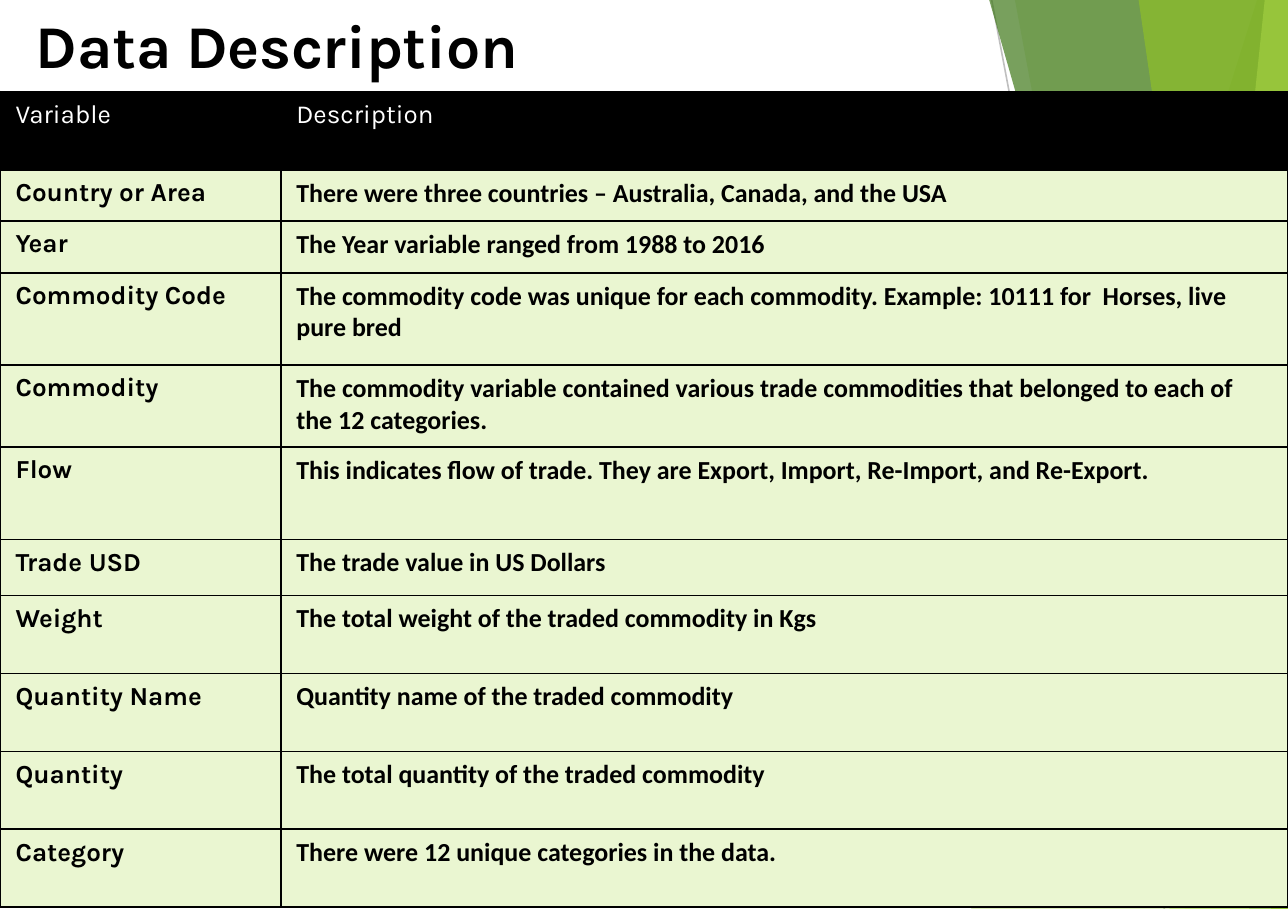
import dataclasses

import pptx
import pptx.dml.color
import pptx.enum.shapes
import pptx.oxml.ns
import pptx.util
from lxml import etree

HUES = {
    "black": "000000", "white": "FFFFFF", "pale": "EAF6D1", "grey": "BFBFBF",
    "lime": "90C226", "forest": "3F7819", "mint": "C0E474",
}
WIDE, HIGH = pptx.util.Inches(8.26), pptx.util.Inches(5.83)


@dataclasses.dataclass
class Blade:
    """Panel reaching the right edge; top and foot are % of the width."""
    top: float
    foot: float
    hue: str
    alpha: int


@dataclasses.dataclass
class Row:
    """Table row; size is % of the slide height."""
    size: float
    name: str
    note: str


BLADES = [
    Blade(97.6, 75.4, "lime", 30),
    Blade(78.8, 92, "lime", 20),
    Blade(76.8, 97, "forest", 70),
    Blade(98.2, 90.8, "mint", 70),
    Blade(88.4, 98.7, "lime", 65),
]
ROWS = [
    Row(8.58, "Variable", "Description"),
    Row(5.66, "Country or Area",
        "There were three countries – Australia, Canada, and the USA"),
    Row(5.66, "Year", "The Year variable ranged from 1988 to 2016"),
    Row(10.15, "Commodity Code", "The commodity code was unique for each "
        "commodity. Example: 10111 for  Horses, live pure bred"),
    Row(9.05, "Commodity", "The commodity variable contained various trade "
        "commodities that belonged to each of the 12 categories."),
    Row(10.15, "Flow", "This indicates flow of trade. They are Export, "
        "Import, Re-Import, and Re-Export."),
    Row(6.17, "Trade USD", "The trade value in US Dollars"),
    Row(8.58, "Weight", "The total weight of the traded commodity in Kgs"),
    Row(8.58, "Quantity Name", "Quantity name of the traded commodity"),
    Row(8.58, "Quantity", "The total quantity of the traded commodity"),
    Row(8.58, "Category", "There were 12 unique categories in the data."),
]
COLS = [21.8, 78.2]
HEAD = 10.1


def across(share: float) -> int:
    return round(WIDE * share / 100)


def down(share: float) -> int:
    return round(HIGH * share / 100)


def color(hue: str) -> pptx.dml.color.RGBColor:
    return pptx.dml.color.RGBColor.from_string(HUES[hue])


def add(parent, tag: str, **attrs: str):
    return etree.SubElement(parent, pptx.oxml.ns.qn(tag), attrs)


def paint(fill, hue: str) -> None:
    fill.solid()
    fill.fore_color.rgb = color(hue)


def write(frame, text: str, size: float = 12, font: str = "Karla",
          hue: str = "black", bold: bool = True, track: int = 0) -> None:
    run = frame.paragraphs[0].add_run()
    run.text = text
    run.font.size = pptx.util.Pt(size)
    run.font.name = font
    run.font.bold = bold
    run.font.color.rgb = color(hue)
    if track:
        run.font._element.set("spc", str(track))


def draw_blade(slide, blade: Blade) -> None:
    pen = slide.shapes.build_freeform(across(blade.top), 0)
    pen.add_line_segments(
        [(across(blade.foot), HIGH), (WIDE, HIGH), (WIDE, 0)], close=True)
    shape = pen.convert_to_shape()
    shape.shadow.inherit = False
    shape.line.fill.background()
    paint(shape.fill, blade.hue)
    tint = shape._element.spPr.find(".//" + pptx.oxml.ns.qn("a:srgbClr"))
    add(tint, "a:alpha", val=str(blade.alpha * 1000))


def draw_line(slide, top: float, foot: float) -> None:
    line = slide.shapes.add_connector(
        pptx.enum.shapes.MSO_CONNECTOR.STRAIGHT,
        across(top), 0, across(foot), HIGH)
    line.line.color.rgb = color("grey")
    line.line.width = pptx.util.Pt(0.75)
    add(line._element.spPr, "a:effectLst")


def edge(cell) -> None:
    props = cell._tc.get_or_add_tcPr()
    for side in "LRTB":
        rule = add(props, f"a:ln{side}", w=str(pptx.util.Pt(1)))
        add(add(rule, "a:solidFill"), "a:srgbClr", val=HUES["black"])


def draw_table(slide, rows: list[Row]) -> None:
    total = sum(row.size for row in rows)
    grid = slide.shapes.add_table(
        len(rows), len(COLS), 0, down(HEAD), WIDE, down(total)).table
    for col, share in zip(grid.columns, COLS):
        col.width = across(share)
    for r, row in enumerate(rows):
        grid.rows[r].height = down(row.size)
        top = r == 0
        for c, text in enumerate((row.name, row.note)):
            cell = grid.cell(r, c)
            edge(cell)
            paint(cell.fill, "black" if top else "pale")
            write(cell.text_frame, text, bold=not top,
                  font="Calibri" if c and not top else "Karla",
                  hue="white" if top else "black")


deck = pptx.Presentation()
deck.slide_width, deck.slide_height = WIDE, HIGH
slide = deck.slides.add_slide(deck.slide_layouts[6])

# Green corner
draw_line(slide, 77, 90.4)
for blade in BLADES:
    draw_blade(slide, blade)

# Title
title = slide.shapes.add_textbox(across(1.6), 0, across(53.5), down(9.8))
title.text_frame.word_wrap = True
write(title.text_frame, "Data Description", size=28, track=-10)

# Variables
draw_table(slide, ROWS)

deck.save("out.pptx")
